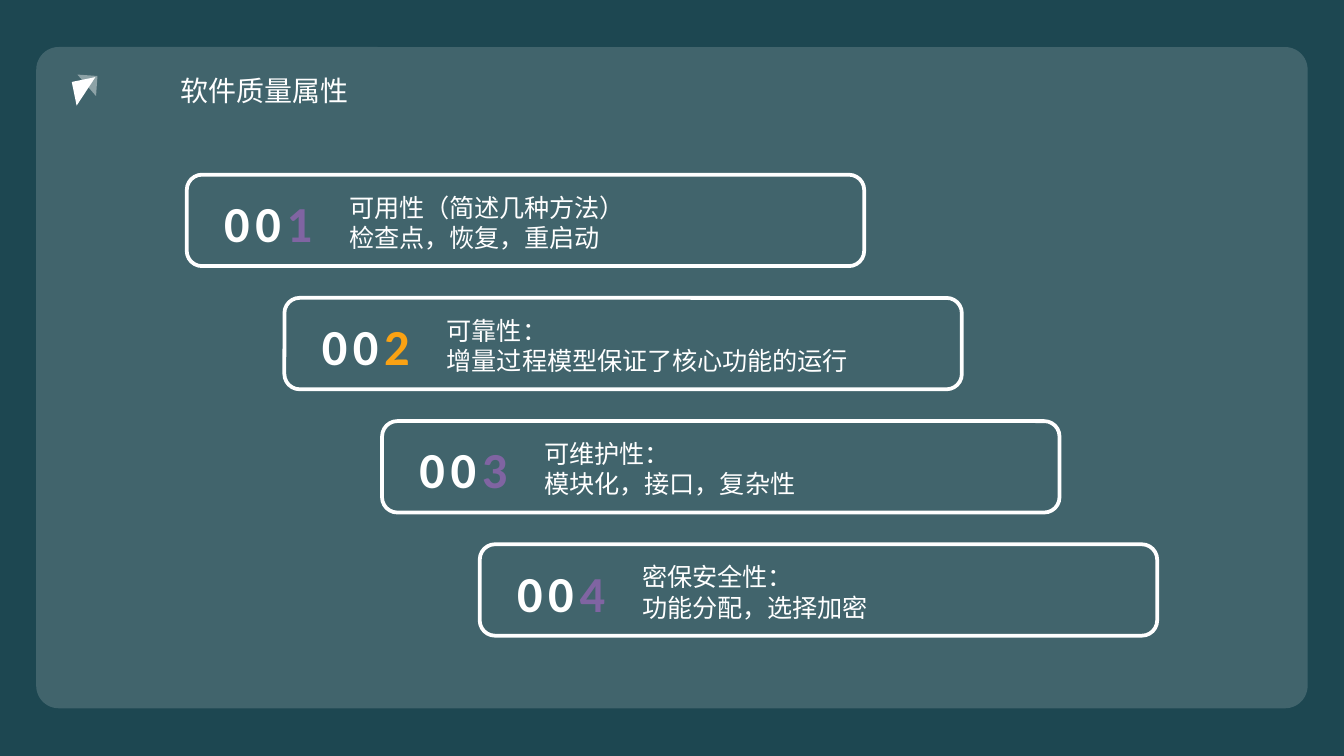
import pptx
import pptx.util
from pptx.dml.color import RGBColor
from pptx.enum.shapes import MSO_SHAPE
from pptx.enum.text import MSO_ANCHOR, PP_ALIGN
from pptx.oxml.ns import qn
from lxml import etree

Inches = pptx.util.Inches
Pt = pptx.util.Pt

# Content
TITLE = "软件质量属性"
WHITE, PURPLE, ORANGE, BACKGROUND = "FFFFFF", "8064A2", "FAA213", "1D4751"
# Heading, detail, colour of the last digit, width of the text
ATTRIBUTES = [
    ("可用性（简述几种方法）", "检查点，恢复，重启动", PURPLE, 3.79),
    ("可靠性：", "增量过程模型保证了核心功能的运行", ORANGE, 4.07),
    ("可维护性：", "模块化，接口，复杂性", PURPLE, 3.79),
    ("密保安全性：", "功能分配，选择加密", PURPLE, 3.79),
]
FIRST_CARD, LAST_CARD = (1.39, 1.3), (3.57, 4.05)
CARD_WIDTH, CARD_HEIGHT = 5.04, 0.68


def set_color(color_format, value):
    color_format.rgb = RGBColor.from_string(value)


def add_filled_shape(kind, left, top, width, height, opacity=100, rotation=0):
    shape = slide.shapes.add_shape(
        kind, Inches(left), Inches(top), Inches(width), Inches(height))
    shape.shadow.inherit = False
    shape.rotation = rotation
    shape.line.fill.background()
    shape.fill.solid()
    set_color(shape.fill.fore_color, WHITE)
    if opacity < 100:
        color = shape._element.spPr.find(qn("a:solidFill"))[0]
        etree.SubElement(color, qn("a:alpha"), val=str(opacity * 1000))
    return shape


def add_text(left, top, width, height):
    box = slide.shapes.add_textbox(
        Inches(left), Inches(top), Inches(width), Inches(height))
    box.text_frame.word_wrap = True
    return box.text_frame


def format_run(run, font_name, size, color, bold=False):
    run.font.name = font_name
    run.font.size = Pt(size)
    run.font.bold = bold
    set_color(run.font.color, color)


presentation = pptx.Presentation()
presentation.slide_width = Inches(10)
presentation.slide_height = Inches(10 * 9 / 16)
slide = presentation.slides.add_slide(presentation.slide_layouts[5])
slide.background.fill.solid()
set_color(slide.background.fill.fore_color, BACKGROUND)

# Translucent panel
panel = add_filled_shape(
    MSO_SHAPE.ROUNDED_RECTANGLE, 0.27, 0.35, 9.46, 4.92, opacity=16)
panel.adjustments[0] = 0.034

# Staggered cards, evenly stepped from the first to the last
for index, (heading, detail, accent, text_width) in enumerate(ATTRIBUTES):
    left, top = (start + (end - start) * index / (len(ATTRIBUTES) - 1)
                 for start, end in zip(FIRST_CARD, LAST_CARD))
    card = add_filled_shape(
        MSO_SHAPE.ROUNDED_RECTANGLE, left, top, CARD_WIDTH, CARD_HEIGHT)
    card.fill.background()
    set_color(card.line.color, WHITE)
    card.line.width = Pt(2)

    number_frame = add_text(left + 0.18, top + 0.08, 0.87, 1)
    number_frame.margin_right = 0
    for digits, color in (("00", WHITE), (str(index + 1), accent)):
        run = number_frame.paragraphs[0].add_run()
        run.text = digits
        format_run(run, "Calibri", 27, color, bold=True)
        run.font._element.set("spc", "300")

    text_frame = add_text(left + 1.11, top + 0.08, text_width, 0.55)
    text_frame.text = f"{heading}\n{detail}"
    for paragraph in text_frame.paragraphs:
        format_run(paragraph.runs[0], "Cabin", 13.5, WHITE)

# Title
title = slide.shapes.title
title.left, title.top = Inches(1.24), Inches(0.49)
title.width, title.height = Inches(1.52), Inches(0.36)
title.text_frame.text = TITLE
title.text_frame.word_wrap = False
title.text_frame.vertical_anchor = MSO_ANCHOR.MIDDLE
title.text_frame.paragraphs[0].alignment = PP_ALIGN.LEFT
format_run(title.text_frame.paragraphs[0].runs[0],
           "Noto Sans CJK JP", 15, WHITE)

# Triangle ornament beside the title
add_filled_shape(MSO_SHAPE.RIGHT_TRIANGLE, 0.55, 0.59, 0.18, 0.18, rotation=78.4)
add_filled_shape(MSO_SHAPE.RIGHT_TRIANGLE, 0.57, 0.56, 0.15, 0.15,
                 opacity=40, rotation=184)

presentation.save("out.pptx")
